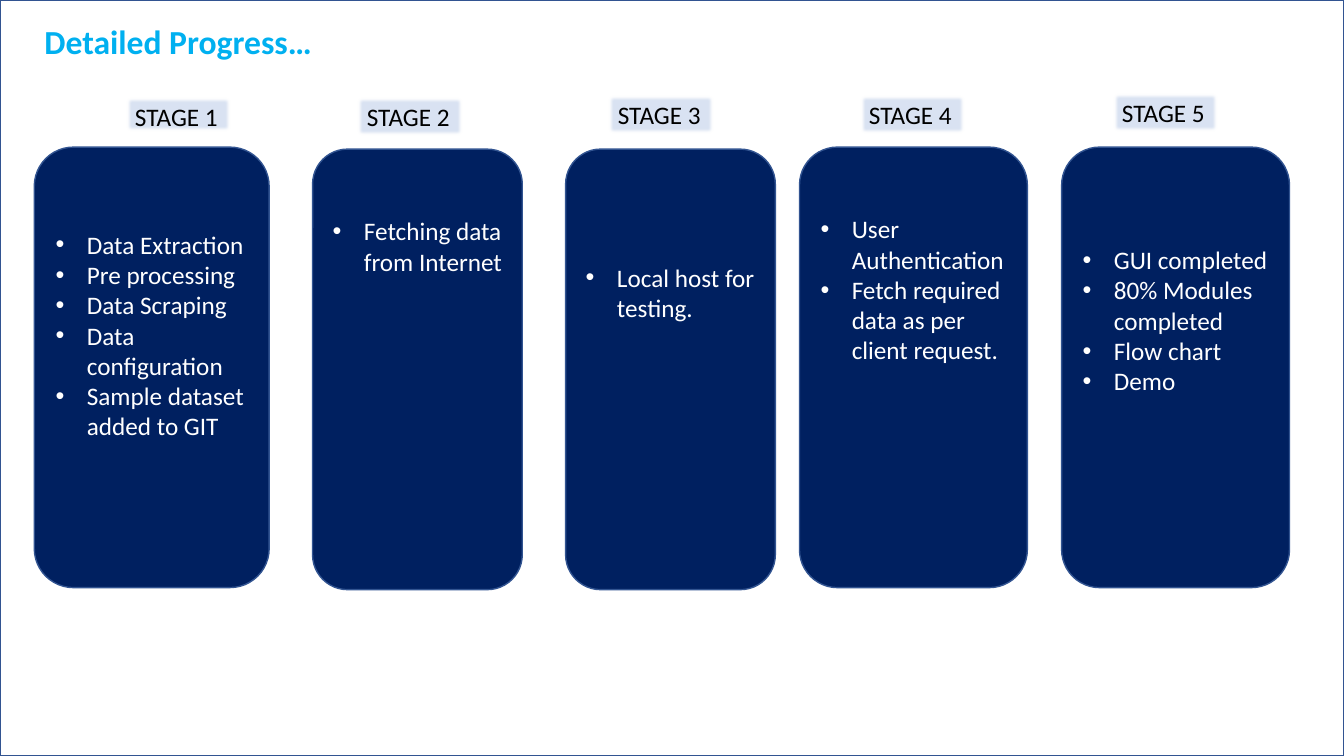
"""Build the five-stage progress slide."""
from lxml import etree
from pptx import Presentation, util as u
from pptx.dml.color import RGBColor
from pptx.enum import shapes, text
from pptx.oxml.ns import qn

W, H = 13.33, 7.5
TITLE = "Detailed Progress…"
FONT = "Calibri"
COLORS = {"title": "00B0F0", "card": "002060", "line": "325491",
          "label": "DAE3F3", "ink": "000000", "white": "FFFFFF"}
CARD_H, LABEL_W = 4.37, 1.06
LINE_H, INDENT = 0.305, 0.31
CORNER_INSET = 0.29 / 6

# label (left, top, height), card (left, top, width), text lines above card middle, items
STAGES = [
    ((1.24, 0.96, 0.36), (0.34, 1.46, 2.33), 4.5,
     ["Data Extraction", "Pre processing", "Data Scraping",
      "Data configuration", "Sample dataset added to GIT"]),
    ((3.54, 0.96, 0.4), (3.1, 1.48, 2.08), 5, ["Fetching data from Internet"]),
    ((6.03, 0.94, 0.4), (5.61, 1.48, 2.08), 3.5, ["Local host for testing."]),
    ((8.52, 0.94, 0.4), (7.93, 1.46, 2.26), 5,
     ["User Authentication", "Fetch required data as per client request."]),
    ((11.03, 0.92, 0.4), (10.53, 1.46, 2.26), 4,
     ["GUI completed", "80% Modules completed", "Flow chart", "Demo"]),
]
STAGES = [(label, card, lines, items) for label, card, lines, items in STAGES]


def rgb(name):
    return RGBColor.from_string(COLORS[name])


def add_box(s, kind, x, y, w, h, fill=None, line=None):
    sp = s.shapes.add_shape(kind, *map(u.Inches, (x, y, w, h)))
    sp.shadow.inherit = False
    if fill:
        sp.fill.solid()
        sp.fill.fore_color.rgb = rgb(fill)
    else:
        sp.fill.background()
    if line:
        sp.line.color.rgb = rgb(line)
        sp.line.width = u.Pt(1)
    else:
        sp.line.fill.background()
    return sp


def write(sp, lines, size, color, bold=False, bullets=False):
    tf = sp.text_frame
    tf.word_wrap = True
    tf.vertical_anchor = text.MSO_ANCHOR.TOP
    tf.text = "\n".join(lines)
    for p in tf.paragraphs:
        p.alignment = text.PP_ALIGN.LEFT
        if bullets:
            pPr = p._p.get_or_add_pPr()
            pPr.set("marL", str(u.Inches(INDENT)))
            pPr.set("indent", str(-u.Inches(INDENT)))
            etree.SubElement(pPr, qn("a:buFont")).set("typeface", "Arial")
            etree.SubElement(pPr, qn("a:buChar")).set("char", "•")
        for r in p.runs:
            r.font.name, r.font.size, r.font.bold = FONT, u.Pt(size), bold
            r.font.color.rgb = rgb(color)
    return tf


def soften(sp):
    effects = sp._element.spPr.find(qn("a:effectLst"))
    etree.SubElement(effects, qn("a:softEdge")).set("rad", str(u.Pt(2.5)))


def main():
    prs = Presentation()
    prs.slide_width, prs.slide_height = u.Inches(W), u.Inches(H)
    s = prs.slides.add_slide(prs.slide_layouts[5])

    title = s.shapes.title
    title.left, title.top, title.width, title.height = map(u.Inches, (0.34, 0.16, 2.88, 0.5))
    tf = write(title, [TITLE], 24, "title", bold=True)
    tf.word_wrap = False
    tf.auto_size = text.MSO_AUTO_SIZE.NONE

    add_box(s, shapes.MSO_SHAPE.RECTANGLE, 0, 0, W, H, line="line")
    for n, (label, card, lines_above, items) in enumerate(STAGES, 1):
        x, y, w = card
        sp = add_box(s, shapes.MSO_SHAPE.ROUNDED_RECTANGLE, x, y, w, CARD_H, "card", "line")
        tf = write(sp, items, 18, "white", bullets=True)
        tf.margin_top = u.Inches(CARD_H / 2 - lines_above * LINE_H - CORNER_INSET * w)

        x, y, h = label
        sp = add_box(s, shapes.MSO_SHAPE.RECTANGLE, x, y, LABEL_W, h, "label")
        soften(sp)
        write(sp, [f"STAGE {n}"], 18, "ink")

    prs.save("out.pptx")


if __name__ == "__main__":
    main()
